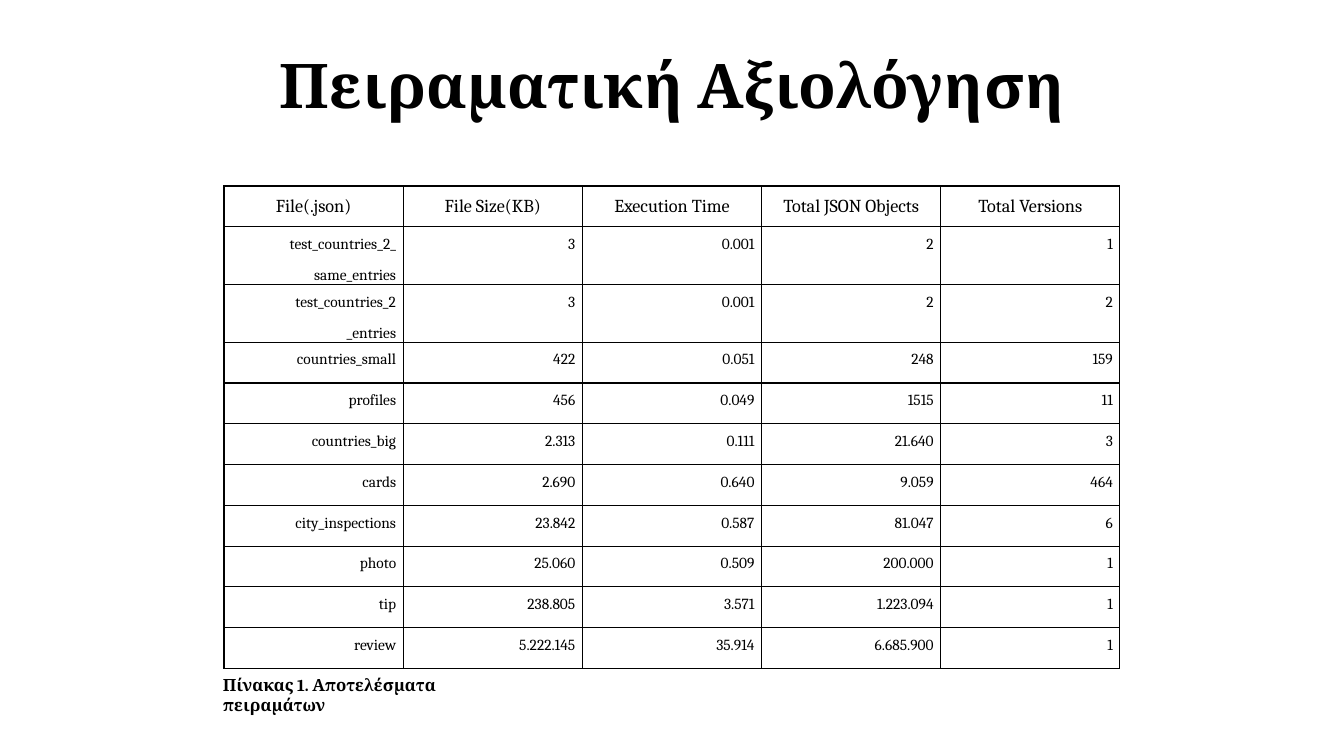
from lxml import etree
from pptx import Presentation
from pptx.dml.color import RGBColor
from pptx.enum.text import MSO_ANCHOR, PP_ALIGN
from pptx.oxml.ns import qn
from pptx.util import Pt

TITLE = "Πειραματική Αξιολόγηση"
HEADINGS = ("File(.json)", "File Size(KB)", "Execution Time",
            "Total JSON Objects", "Total Versions")
RESULTS = [
    ("test_countries_2_\nsame_entries", "3", "0.001", "2", "1"),
    ("test_countries_2\n_entries", "3", "0.001", "2", "2"),
    ("countries_small", "422", "0.051", "248", "159"),
    ("profiles", "456", "0.049", "1515", "11"),
    ("countries_big", "2.313", "0.111", "21.640", "3"),
    ("cards", "2.690", "0.640", "9.059", "464"),
    ("city_inspections", "23.842", "0.587", "81.047", "6"),
    ("photo", "25.060", "0.509", "200.000", "1"),
    ("tip", "238.805", "3.571", "1.223.094", "1"),
    ("review", "5.222.145", "35.914", "6.685.900", "1"),
]
CAPTION = "Πίνακας 1. Αποτελέσματα πειραμάτων"

# left, top, width, height in px
SLIDE_SIZE = (1344, 756)
TITLE_BOX = (93, 16, 1159, 146)
TABLE_BOX = (224, 186, 896, 449)
CAPTION_BOX = (213, 670, 325, 30)
CELL_MARGIN = 7

FONT = "Cambria"
BLACK = RGBColor(0x00, 0x00, 0x00)
WHITE = RGBColor(0xFF, 0xFF, 0xFF)
LEFT, CENTER, RIGHT = PP_ALIGN.LEFT, PP_ALIGN.CENTER, PP_ALIGN.RIGHT
MIDDLE = MSO_ANCHOR.MIDDLE
TITLE_ONLY = 5


def px(*lengths):
    """Turn px lengths into EMU at 100.8 px to the inch."""
    return [round(length * 914400 / 100.8) for length in lengths]


def write(frame, text, size, align=LEFT, bold=False, spacing=None, after=None):
    """Fill a text frame, one paragraph for each line of text."""
    frame.word_wrap = True
    for index, line in enumerate(text.split("\n")):
        paragraph = frame.add_paragraph() if index else frame.paragraphs[0]
        paragraph.alignment = align
        paragraph.line_spacing = spacing
        paragraph.space_after = after
        run = paragraph.add_run()
        run.text = line
        run.font.name = FONT
        run.font.size = Pt(size)
        run.font.bold = bold
        run.font.color.rgb = BLACK


def add_borders(cell):
    properties = cell._tc.get_or_add_tcPr()
    for side in ("a:lnL", "a:lnR", "a:lnT", "a:lnB"):
        line = etree.SubElement(properties, qn(side), w=str(Pt(1)))
        fill = etree.SubElement(line, qn("a:solidFill"))
        etree.SubElement(fill, qn("a:srgbClr"), val=str(BLACK))


def add_results_table(slide):
    rows = [HEADINGS, *RESULTS]
    table = slide.shapes.add_table(
        len(rows), len(HEADINGS), *px(*TABLE_BOX)).table
    table.first_row = table.horz_banding = False
    for row_index, row in enumerate(rows):
        size, align = (11, RIGHT) if row_index else (13, CENTER)
        for column_index, text in enumerate(row):
            cell = table.cell(row_index, column_index)
            cell.margin_left, cell.margin_right = px(CELL_MARGIN, CELL_MARGIN)
            cell.margin_top = cell.margin_bottom = 0
            add_borders(cell)
            cell.fill.background()
            write(cell.text_frame, text, size, align, spacing=1.5, after=Pt(3))


def main():
    presentation = Presentation()
    presentation.slide_width, presentation.slide_height = px(*SLIDE_SIZE)
    slide = presentation.slides.add_slide(
        presentation.slide_layouts[TITLE_ONLY])
    slide.background.fill.solid()
    slide.background.fill.fore_color.rgb = WHITE

    title = slide.shapes.title
    title.left, title.top, title.width, title.height = px(*TITLE_BOX)
    title.text_frame.vertical_anchor = MIDDLE
    write(title.text_frame, TITLE, 44, CENTER, bold=True, spacing=0.9)

    add_results_table(slide)

    caption = slide.shapes.add_textbox(*px(*CAPTION_BOX))
    write(caption.text_frame, CAPTION, 12, bold=True)

    presentation.save("out.pptx")


if __name__ == "__main__":
    main()
